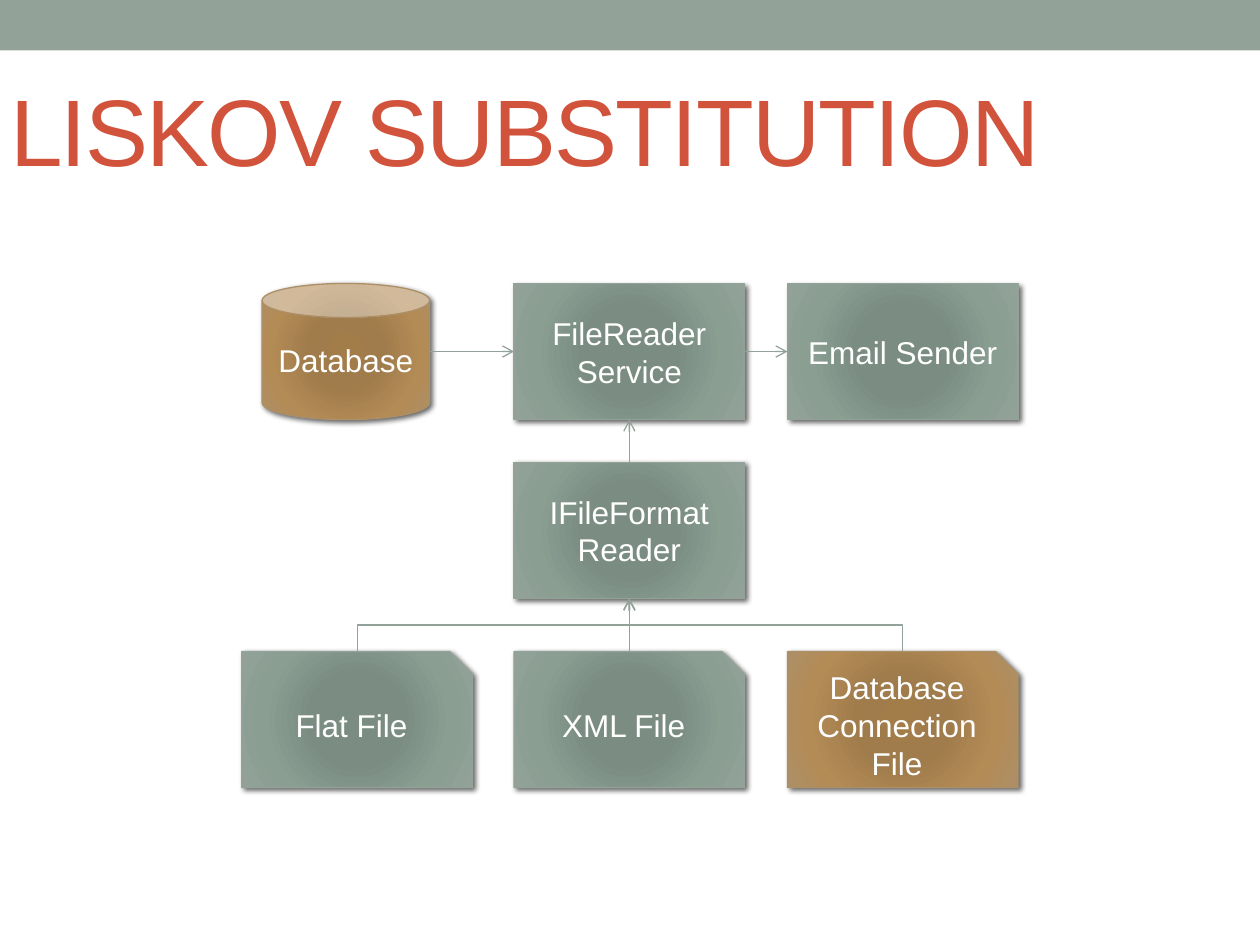
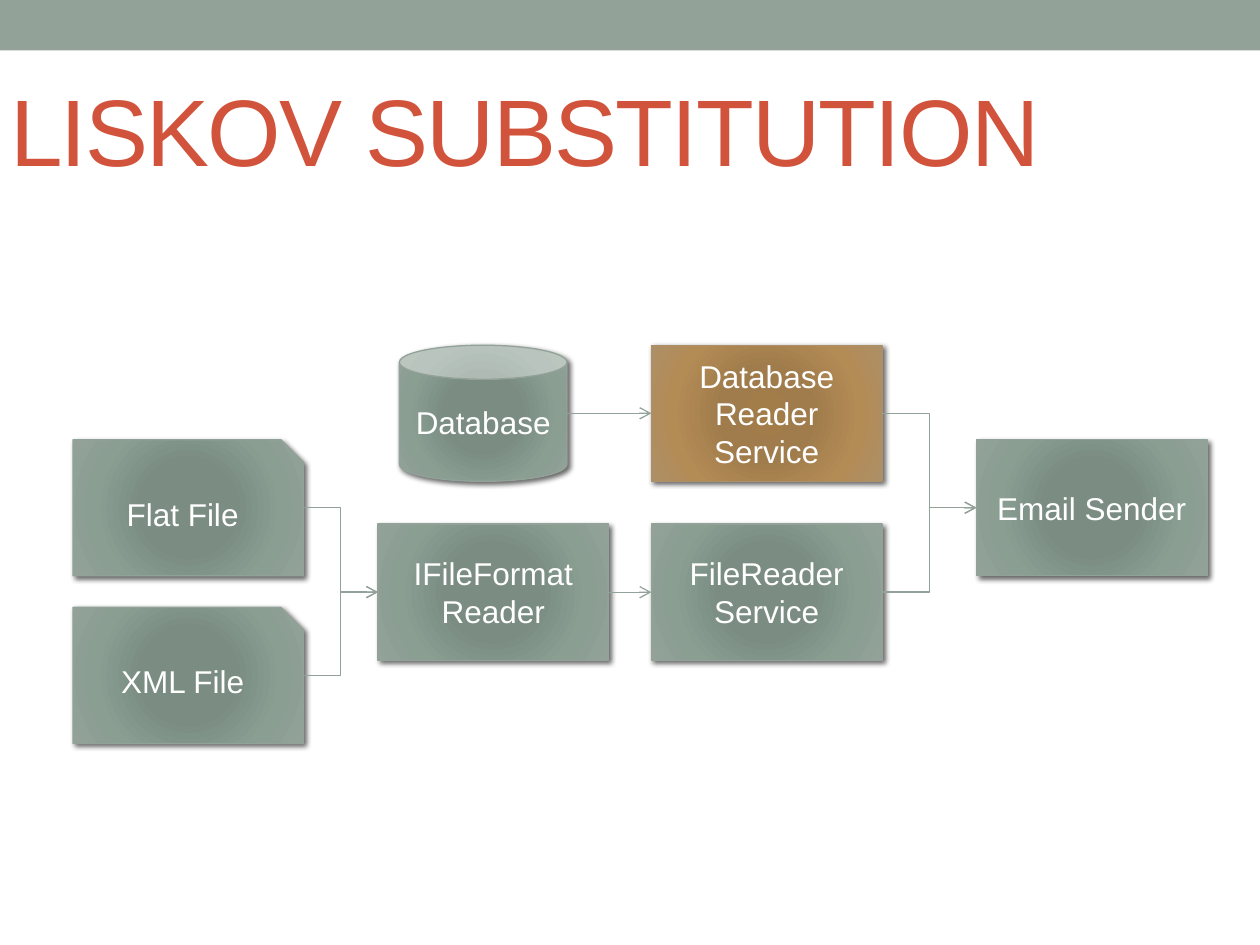
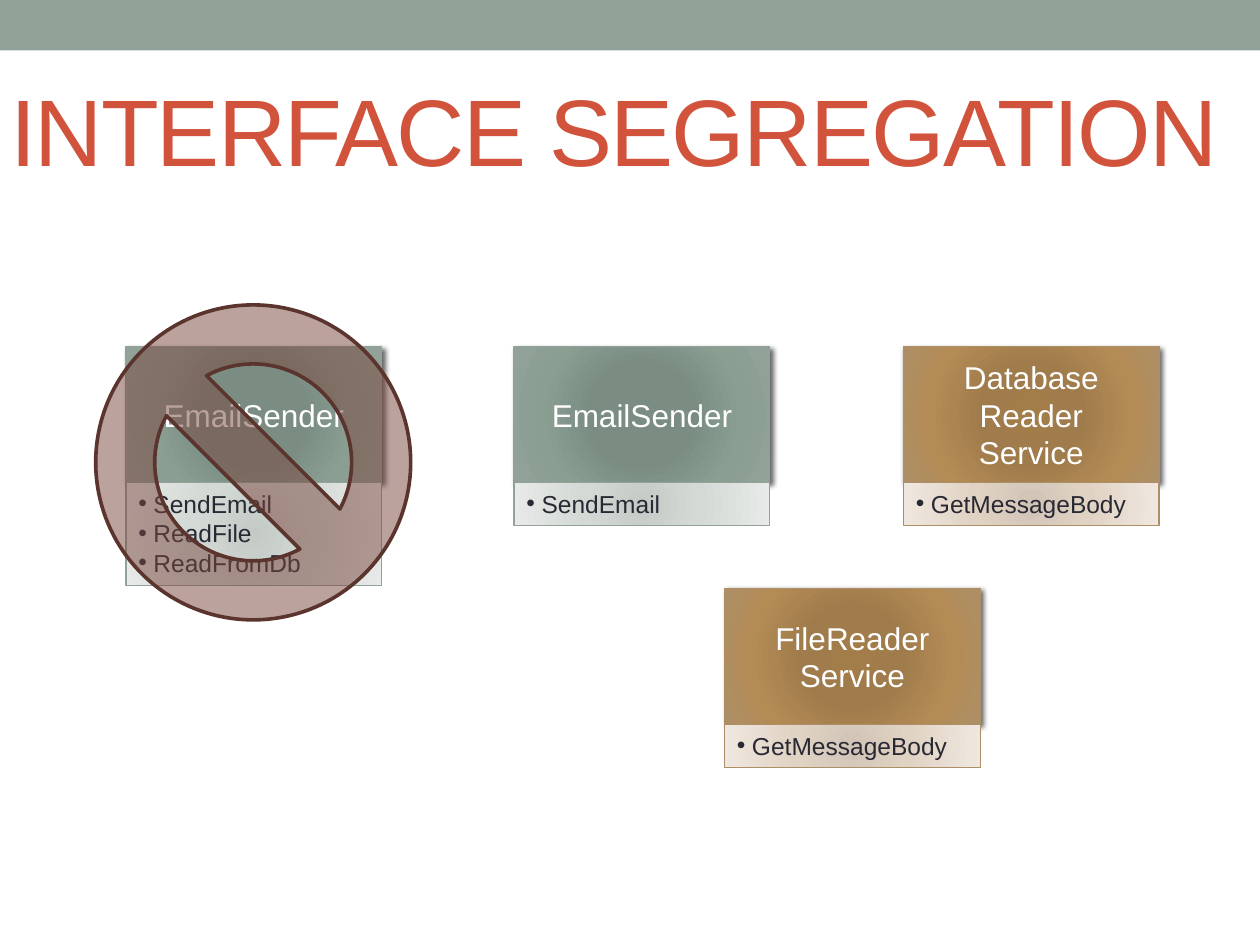
from lxml import etree
from pptx import Presentation
from pptx import util as u
from pptx.dml.color import RGBColor
from pptx.enum import shapes, text
from pptx.oxml.ns import qn

GREEN = {
    "line": "93A299",
    "dark": [(0, "7B8E82"), (34, "7B8D83"), (70, "8A9E92"), (100, "93A299")],
    "pale": [(0, "C4CAC6"), (45, "D3DAD6"), (100, "E7EAE8")],
}
BROWN = {
    "line": "AD8F67",
    "dark": [(0, "A37D49"), (34, "A07C4C"), (70, "B38B55"), (100, "AD8F67")],
    "pale": [(0, "D1C4B6"), (45, "E1D3C4"), (100, "EFE7DF")],
}
RECT = shapes.MSO_SHAPE.RECTANGLE
FILE = shapes.MSO_SHAPE.SNIP_1_RECTANGLE
CAN = shapes.MSO_SHAPE.CAN
BOX_W, BOX_H, CAN_W, CARD_W = 1.83, 1.08, 1.33, 2.03
TOP, LEFT, BOTTOM, RIGHT = range(4)


def rgb(value):
    """Turn a hex string into a colour."""
    return RGBColor.from_string(value)


def sub(parent, tag, **attrs):
    """Append a DrawingML child with the given attributes."""
    return etree.SubElement(parent, qn("a:" + tag), {k: str(v) for k, v in attrs.items()})


def write(tf, content, size=18, color="FFFFFF", align="CENTER", bullet=None, spacing=0):
    """Fill a text frame, one paragraph for each line of content."""
    tf.word_wrap = True
    for i, line in enumerate(content.split("\n")):
        p = tf.paragraphs[0] if i == 0 else tf.add_paragraph()
        p.alignment = getattr(text.PP_ALIGN, align)
        if bullet:
            pPr = p._p.get_or_add_pPr()
            indent = u.Inches(0.12)
            pPr.set("marL", str(indent))
            pPr.set("indent", str(-indent))
            sub(pPr, "buFont", typeface="Arial")
            sub(pPr, "buChar", char=bullet)
        r = p.add_run()
        r.text = line
        r.font.name = "Arial"
        r.font.size = u.Pt(size)
        r.font.color.rgb = rgb(color)
        if spacing:
            r._r.get_or_add_rPr().set("spc", str(spacing * 100))


class Deck:
    """Hold the presentation, its style and the current slide."""

    def __init__(self):
        """Start a 10 by 7.5 inch presentation."""
        self.prs = Presentation()
        self.prs.slide_width, self.prs.slide_height = u.Inches(10), u.Inches(7.5)
        self.s = None

    def slide(self, title):
        """Add a slide with the top band and a title."""
        self.s = self.prs.slides.add_slide(self.prs.slide_layouts[6])
        band = self.shape(RECT, 0, 0, 10, 0.4)
        band.fill.solid()
        band.fill.fore_color.rgb = rgb(GREEN["line"])
        band.line.fill.background()
        box = self.s.shapes.add_textbox(u.Inches(0), u.Inches(0.45), u.Inches(10), u.Inches(1.25))
        tf = box.text_frame
        tf.margin_left, tf.margin_top = u.Inches(0.08), u.Inches(0.12)
        write(tf, title, size=54, color="D2533C", align="LEFT", spacing=-1)

    def shape(self, kind, x, y, w, h):
        """Add a preset shape without a shadow."""
        sp = self.s.shapes.add_shape(kind, u.Inches(x), u.Inches(y), u.Inches(w), u.Inches(h))
        sp.shadow.inherit = False
        return sp

    def glow(self, kind, x, y, w, h, stops, line):
        """Add an outlined shape with a circular gradient."""
        sp = self.shape(kind, x, y, w, h)
        grad = etree.Element(qn("a:gradFill"), rotWithShape="1")
        stop_list = sub(grad, "gsLst")
        for pos, color in stops:
            sub(sub(stop_list, "gs", pos=pos * 1000), "srgbClr", val=color)
        sub(sub(grad, "path", path="circle"), "fillToRect", **dict.fromkeys("ltrb", 100000))
        sp._element.spPr.find(qn("a:prstGeom")).addnext(grad)
        sp.line.color.rgb = rgb(line)
        sp.line.width = u.Pt(0.75)
        return sp

    def box(self, label, x, y, kind=RECT, colors=GREEN, w=BOX_W):
        """Add a labelled diagram box with a shadow."""
        sp = self.glow(kind, x, y, w, BOX_H, colors["dark"], colors["line"])
        shadow = sub(sp._element.spPr.find(qn("a:effectLst")), "outerShdw", blurRad=u.Pt(3),
                     dist=u.Pt(2), dir=45 * 60000, algn="br", rotWithShape=0)
        sub(sub(shadow, "srgbClr", val="000000"), "alpha", val=60000)
        sp.text_frame.vertical_anchor = text.MSO_ANCHOR.MIDDLE
        write(sp.text_frame, label)
        return sp

    def card(self, label, x, y, methods, colors=GREEN):
        """Add a class box with its methods listed below."""
        self.box(label, x, y, colors=colors, w=CARD_W)
        h = 0.1 + 0.24 * len(methods)
        sp = self.glow(RECT, x, y + BOX_H, CARD_W, h, colors["pale"], colors["line"])
        sp.text_frame.vertical_anchor = text.MSO_ANCHOR.TOP
        write(sp.text_frame, "\n".join(methods), size=14, color="292934", align="LEFT", bullet="•")

    def link(self, a, b, up=False):
        """Draw an arrow from a to b, rightwards or upwards, bent where they are offset."""
        if up:
            x1, y1 = a.left + a.width // 2, a.top
            x2, y2 = b.left + b.width // 2, b.top + b.height
        else:
            x1, y1 = a.left + a.width, a.top + a.height // 2
            x2, y2 = b.left, b.top + b.height // 2
        straight = abs(x2 - x1 if up else y2 - y1) < u.Inches(0.02)
        kind = shapes.MSO_CONNECTOR.STRAIGHT if straight else shapes.MSO_CONNECTOR.ELBOW
        turned = up and not straight
        if turned:
            mx, my, dx, dy = (x1 + x2) // 2, (y1 + y2) // 2, x2 - x1, y1 - y2
            x1, y1, x2, y2 = mx - dy // 2, my - dx // 2, mx + dy // 2, my + dx // 2
        cxn = self.s.shapes.add_connector(kind, x1, y1, x2, y2)
        spPr = cxn._element.spPr
        if turned:
            spPr.find(qn("a:xfrm")).set("rot", str(270 * 60000))
        if straight:
            if a.auto_shape_type != CAN:
                cxn.begin_connect(a, TOP if up else RIGHT)
            cxn.end_connect(b, BOTTOM if up else LEFT)
        cxn.line.color.rgb = rgb(GREEN["line"])
        cxn.line.width = u.Pt(0.75)
        sub(spPr.find(qn("a:ln")), "tailEnd", type="arrow")
        sub(spPr, "effectLst")

    def forbid(self, x, y, size):
        """Add a half transparent prohibition sign."""
        sp = self.shape(shapes.MSO_SHAPE.NO_SYMBOL, x, y, size, size)
        sp.fill.solid()
        sp.fill.fore_color.rgb = rgb("79463D")
        color = sp._element.spPr.find(qn("a:solidFill")).find(qn("a:srgbClr"))
        sub(color, "alpha", val=50000)
        sp.line.color.rgb = rgb("5A342D")
        sp.line.width = u.Pt(2.08)


def file_formats(deck):
    """Build the slide that adds a database file format."""
    deck.slide("LISKOV SUBSTITUTION")
    cols = 1.92, 4.08, 6.25
    top, middle, bottom = 2.25, 3.67, 5.17
    sender = deck.box("Email Sender", cols[2], top)
    reader = deck.box("IFileFormat Reader", cols[1], middle)
    service = deck.box("FileReader\nService", cols[1], top)
    database = deck.box("Database", 2.08, top, CAN, BROWN, CAN_W)
    files = [("Flat File", GREEN), ("XML File", GREEN), ("Database Connection File", BROWN)]
    for x, (label, colors) in zip(cols, files):
        deck.link(deck.box(label, x, bottom, FILE, colors), reader, up=True)
    deck.link(reader, service, up=True)
    deck.link(database, service)
    deck.link(service, sender)


def database_service(deck):
    """Build the slide with a separate database reader."""
    deck.slide("LISKOV SUBSTITUTION")
    top, middle, lower = 2.74, 3.49, 4.16
    sender = deck.box("Email Sender", 7.75, middle)
    reader = deck.box("IFileFormat Reader", 3, lower)
    file_service = deck.box("FileReader\nService", 5.17, lower)
    database = deck.box("Database", 3.17, top, CAN, w=CAN_W)
    db_service = deck.box("Database\nReader\nService", 5.17, top, colors=BROWN)
    for label, y in [("Flat File", middle), ("XML File", 4.82)]:
        deck.link(deck.box(label, 0.58, y, FILE), reader)
    deck.link(reader, file_service)
    deck.link(database, db_service)
    for service in (file_service, db_service):
        deck.link(service, sender)


def interfaces(deck):
    """Build the slide that splits one class into three."""
    deck.slide("INTERFACE SEGREGATION")
    top = 2.75
    deck.card("EmailSender", 1, top, ["SendEmail", "ReadFile", "ReadFromDb"])
    deck.forbid(0.76, 2.42, 2.5)
    deck.card("EmailSender", 4.08, top, ["SendEmail"])
    deck.card("Database Reader\nService", 7.17, top, ["GetMessageBody"], BROWN)
    deck.card("FileReader\nService", 5.75, 4.67, ["GetMessageBody"], BROWN)


def main():
    """Build and save the slides."""
    deck = Deck()
    for build in (file_formats, database_service, interfaces):
        build(deck)
    deck.prs.save("out.pptx")


if __name__ == "__main__":
    main()
